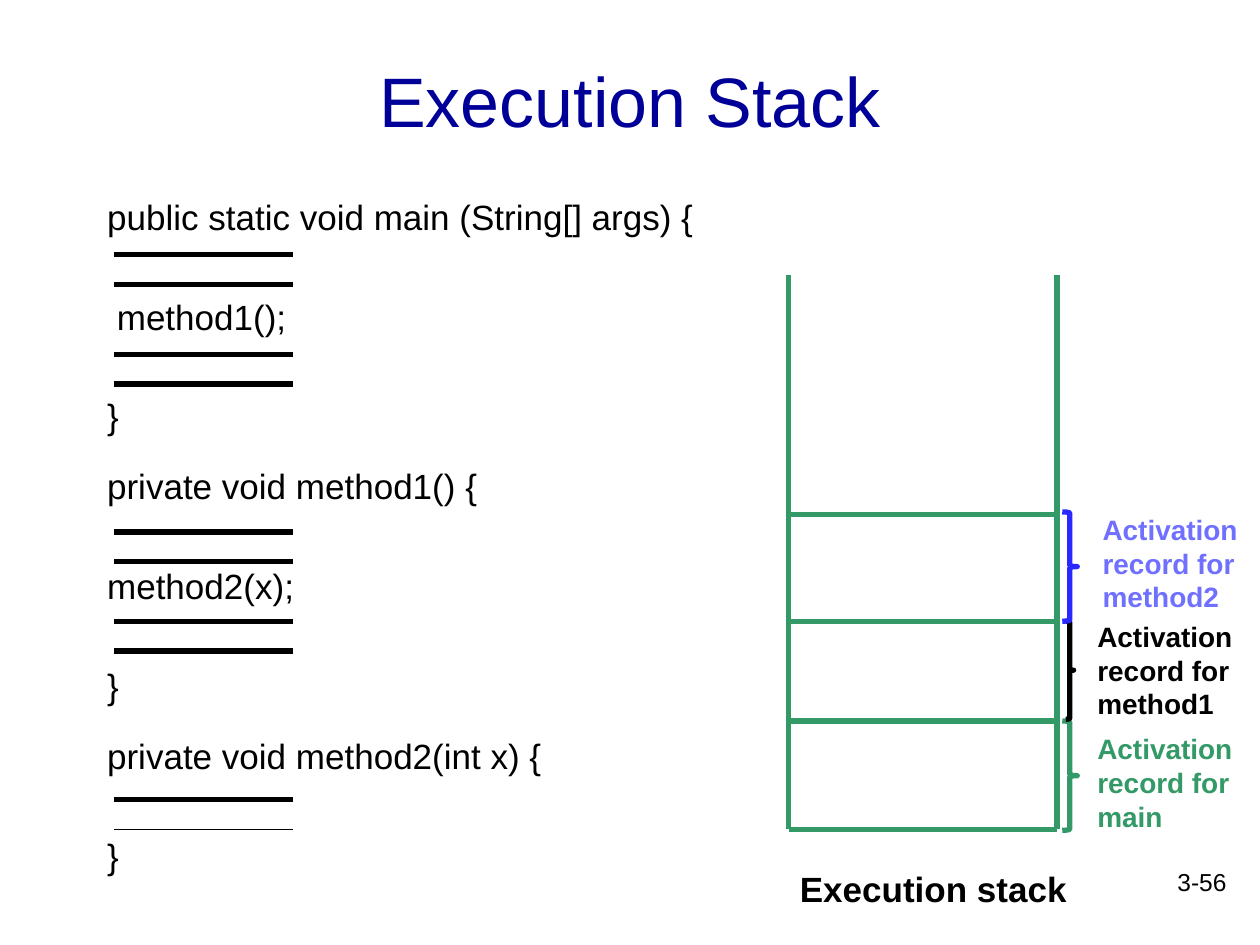
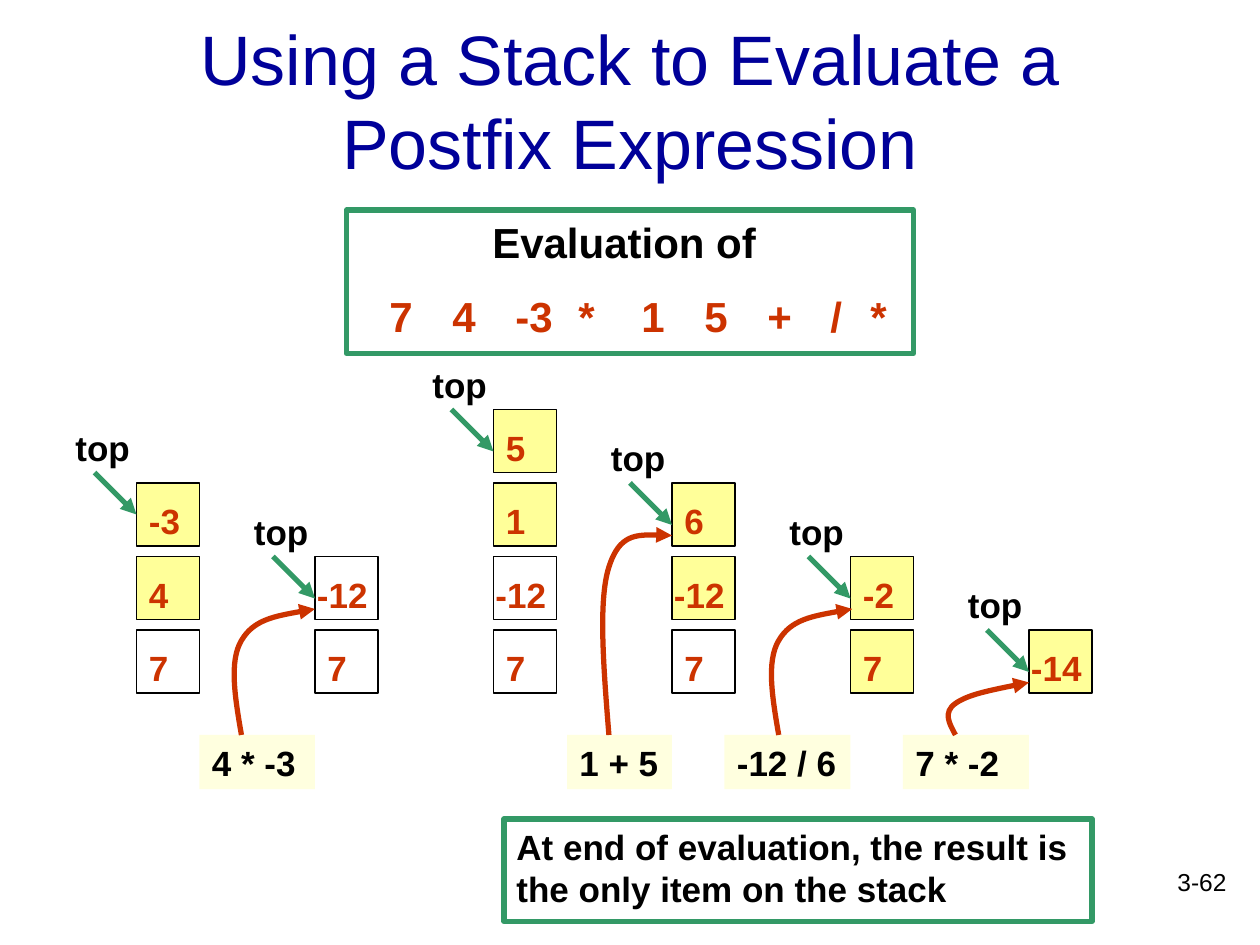
import pptx
import pptx.dml.color
import pptx.enum.shapes
import pptx.enum.text
import pptx.oxml.ns
import pptx.util
from lxml import etree

Pt = pptx.util.Pt
RGBColor = pptx.dml.color.RGBColor
SHAPE = pptx.enum.shapes.MSO_SHAPE
STRAIGHT = pptx.enum.shapes.MSO_CONNECTOR.STRAIGHT
ALIGN = pptx.enum.text.PP_ALIGN
ANCHOR = pptx.enum.text.MSO_ANCHOR
qn = pptx.oxml.ns.qn

FONT = "Arial"
BLACK = RGBColor(0x00, 0x00, 0x00)
NAVY = RGBColor(0x00, 0x00, 0x99)
GREEN = RGBColor(0x33, 0x99, 0x66)
RED = RGBColor(0xCC, 0x33, 0x00)
BLUE = RGBColor(0x29, 0x29, 0xFF)
LIGHT_BLUE = RGBColor(0x70, 0x70, 0xFF)
YELLOW = RGBColor(0xFF, 0xFF, 0x99)
CREAM = RGBColor(0xFF, 0xFF, 0xDF)


def write(shape, text, size=20, color=BLACK, bold=False, align=ALIGN.LEFT,
          anchor=ANCHOR.TOP, wrap=True, space_before=0, left=0, tabs=()):
    """Add one paragraph to the shape, filling its empty first one if there is one."""
    frame = shape.text_frame
    frame.word_wrap = wrap
    frame.auto_size = pptx.enum.text.MSO_AUTO_SIZE.NONE
    frame.vertical_anchor = anchor
    paragraph = frame.add_paragraph() if frame.text else frame.paragraphs[0]
    properties = paragraph._p.get_or_add_pPr()
    properties.set("marL", str(Pt(left)))
    properties.set("indent", "0")
    etree.SubElement(properties, qn("a:buNone"))
    if tabs:
        tab_list = etree.SubElement(properties, qn("a:tabLst"))
        for position in tabs:
            etree.SubElement(tab_list, qn("a:tab"), pos=str(Pt(position)), algn="l")
    paragraph.alignment = align
    paragraph.space_before = Pt(space_before)
    run = paragraph.add_run()
    run.text = text
    run.font.name = FONT
    run.font.size = Pt(size)
    run.font.bold = bold
    run.font.color.rgb = color


def draw_line(shape, color, width=3, arrow=False):
    """Style the outline of a shape or connector and drop its shadow."""
    shape.line.color.rgb = color
    shape.line.width = Pt(width)
    if arrow:
        etree.SubElement(shape.line._ln, qn("a:tailEnd"), type="triangle")
    etree.SubElement(shape._element.spPr, qn("a:effectLst"))


presentation = pptx.Presentation()
presentation.slide_width = Pt(720)
presentation.slide_height = Pt(540)

# Title and page number on both slides
slides = []
for layout_index, title, page in [
    (1, "Execution Stack", "3-56"),
    (5, "Using a Stack to Evaluate a Postfix Expression", "3-62"),
]:
    slide = presentation.slides.add_slide(presentation.slide_layouts[layout_index])
    heading = slide.shapes.title
    heading.left, heading.top, heading.width, heading.height = Pt(54), Pt(12), Pt(612), Pt(90)
    write(heading, title, size=40, color=NAVY, align=ALIGN.CENTER, anchor=ANCHOR.MIDDLE)
    number = slide.shapes.add_textbox(Pt(558), Pt(492), Pt(150), Pt(36))
    write(number, page, size=14, align=ALIGN.RIGHT)
    slides.append(slide)
execution_slide, postfix_slide = slides

# Slide 1: program code, with room between the lines for the statement bars
shapes = execution_slide.shapes
code = execution_slide.placeholders[1]
code.left, code.top, code.width, code.height = Pt(54), Pt(108), Pt(351), Pt(372)
BODY_GAP, METHOD_GAP = 33, 16
for line, gap in [
    ("public static void main (String[] args) {", 0),
    (" method1();", BODY_GAP),
    ("}", BODY_GAP),
    ("private void method1() {", METHOD_GAP),
    ("method2(x);", BODY_GAP),
    ("}", BODY_GAP),
    ("private void method2(int x) {", METHOD_GAP),
    ("}", BODY_GAP),
]:
    write(code, line, space_before=gap)

# Pairs of statement bars
for pair_top, second_width in [(145.4, 3), (202.4, 3), (304, 3), (355, 3), (457, 0.75)]:
    for top, width in [(pair_top, 3), (pair_top + 17, second_width)]:
        bar = shapes.add_connector(STRAIGHT, Pt(65.4), Pt(top), Pt(167.2), Pt(top))
        draw_line(bar, BLACK, width)

# Stack walls and levels
STACK_LEFT, STACK_RIGHT, STACK_TOP, STACK_BOTTOM = 450.6, 604, 157, 474
walls = [(x, STACK_TOP, x, STACK_BOTTOM) for x in (STACK_LEFT, STACK_RIGHT)]
levels = [(STACK_LEFT, y, STACK_RIGHT, y) for y in (STACK_BOTTOM, 412, 355, 294)]
for ends in walls + levels:
    draw_line(shapes.add_connector(STRAIGHT, *map(Pt, ends)), GREEN)
caption = shapes.add_textbox(Pt(450), Pt(492), Pt(168.5), Pt(31.5))
write(caption, "Execution stack", bold=True, wrap=False)

# Activation records: brace and label
for method, brace_box, brace_color, label_left, label_top, label_color in [
    ("main", (607, 412, 8.6, 62.5), GREEN, 620, 414.7, GREEN),
    ("method1", (609, 355, 4.5, 56), BLACK, 620, 350.6, BLACK),
    ("method2", (607, 292.5, 8.6, 62.5), BLUE, 623, 289.4, LIGHT_BLUE),
]:
    brace = shapes.add_shape(SHAPE.RIGHT_BRACE, *map(Pt, brace_box))
    brace.fill.background()
    draw_line(brace, brace_color)
    label = shapes.add_textbox(Pt(label_left), Pt(label_top), Pt(97), Pt(65.5))
    for line in ("Activation", "record for", method):
        write(label, line, size=16, color=label_color, bold=True, wrap=False)

# Slide 2: the expression
shapes = postfix_slide.shapes
expression = shapes.add_shape(SHAPE.RECTANGLE, Pt(198), Pt(120), Pt(324), Pt(82))
expression.fill.background()
draw_line(expression, GREEN)
write(expression, "Evaluation of ", size=24, bold=True, align=ALIGN.CENTER)
tokens = ["7", "4", "-3", "*", "1", "5", "+", "/", "*"]
write(expression, "\t".join(tokens), size=24, color=RED, bold=True, space_before=13.5,
      left=17.5, tabs=(50.8, 84.2, 125.5, 154.8, 188.2, 221.5, 255.5, 282.2))

# Stacks, listed bottom up with the number of unchanged white cells
CELL = 36
for column, (values, white_cells) in enumerate([
    (["7", "4", "-3"], 1),
    (["7", "-12"], 2),
    (["7", "-12", "1", "5"], 2),
    (["7", "-12", "6"], 1),
    (["7", "-2"], 0),
    (["-14"], 0),
]):
    left = 78 + 102 * column
    for level, value in enumerate(values):
        top = 360 - 42 * level
        cell = shapes.add_shape(SHAPE.RECTANGLE, Pt(left), Pt(top), Pt(CELL), Pt(CELL))
        if level < white_cells:
            cell.fill.background()
        else:
            cell.fill.solid()
            cell.fill.fore_color.rgb = YELLOW
        draw_line(cell, BLACK, 0.75)
        outdent, width = {1: (0, 28), 2: (0, 36), 3: (6, 48)}[len(value)]
        item = shapes.add_textbox(Pt(left - outdent), Pt(top + 6), Pt(width), Pt(31))
        write(item, value, color=RED, bold=True)

    # Pointer to the top cell; the first one meets the middle of its side
    pointer_top = top - 6 if column == 0 else top
    pointer_name = shapes.add_textbox(Pt(left - 42), Pt(pointer_top - 30), Pt(48), Pt(31))
    write(pointer_name, "top", bold=True)
    pointer = shapes.add_connector(STRAIGHT, Pt(left - 24), Pt(pointer_top),
                                   Pt(left), Pt(pointer_top + 24))
    if column == 0:
        pointer.end_connect(cell, 1)
    draw_line(pointer, GREEN, arrow=True)

# Operations, each with a curved arrow to its result
OPERATION_TOP = 420
CURVE_ACROSS = (0, -3.6, -7.2, 0, 7, 24.5, 42)
MEDIUM_RISE = (0, 21, 42, 54, 66, 69, 72)
TALL_RISE = (0, 38.5, 77, 96, 115, 115, 114)
SHORT_RISE = (0, 6.5, 13, 18, 23, 26.5, 30)
for text, left, width, curve_left, curve_width, rises in [
    ("4 * -3", 114, 66, 138, 42, MEDIUM_RISE),
    ("1 + 5", 324, 60, 348, 36, TALL_RISE),
    ("-12 / 6", 414, 72, 445, 42, MEDIUM_RISE),
    ("7 * -2", 516, 72, 546, 42, SHORT_RISE),
]:
    operation = shapes.add_shape(SHAPE.RECTANGLE, Pt(left), Pt(OPERATION_TOP), Pt(width), Pt(31))
    operation.shadow.inherit = False
    operation.fill.solid()
    operation.fill.fore_color.rgb = CREAM
    operation.line.fill.background()
    write(operation, text, bold=True)

    points = [(Pt(curve_left + across * curve_width / 42), Pt(OPERATION_TOP - rise))
              for across, rise in zip(CURVE_ACROSS, rises)]
    builder = shapes.build_freeform(*points[0])
    builder.add_line_segments(points[1:], close=False)
    curve = builder.convert_to_shape()
    # Turn each three straight segments into one cubic curve
    outline = curve._element.find(".//" + qn("a:path"))
    segments = outline.findall(qn("a:lnTo"))
    for first in range(0, len(segments), 3):
        cubic = etree.SubElement(outline, qn("a:cubicBezTo"))
        for segment in segments[first:first + 3]:
            cubic.append(segment[0])
            outline.remove(segment)
    curve.fill.background()
    draw_line(curve, RED, arrow=True)

# Conclusion
conclusion = shapes.add_shape(SHAPE.RECTANGLE, Pt(288), Pt(468), Pt(336), Pt(58.5))
conclusion.fill.background()
draw_line(conclusion, GREEN)
write(conclusion, "At end of evaluation, the result is the only item on the stack", bold=True)

presentation.save("out.pptx")
